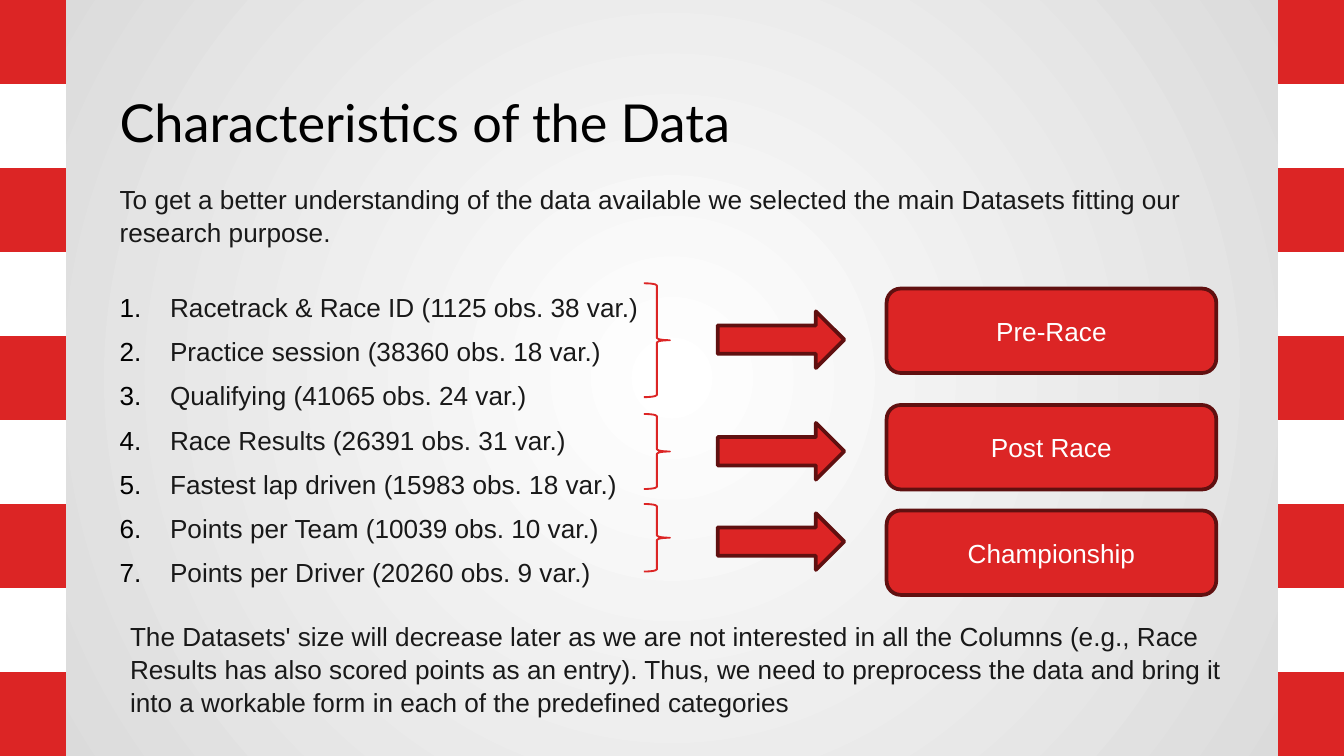
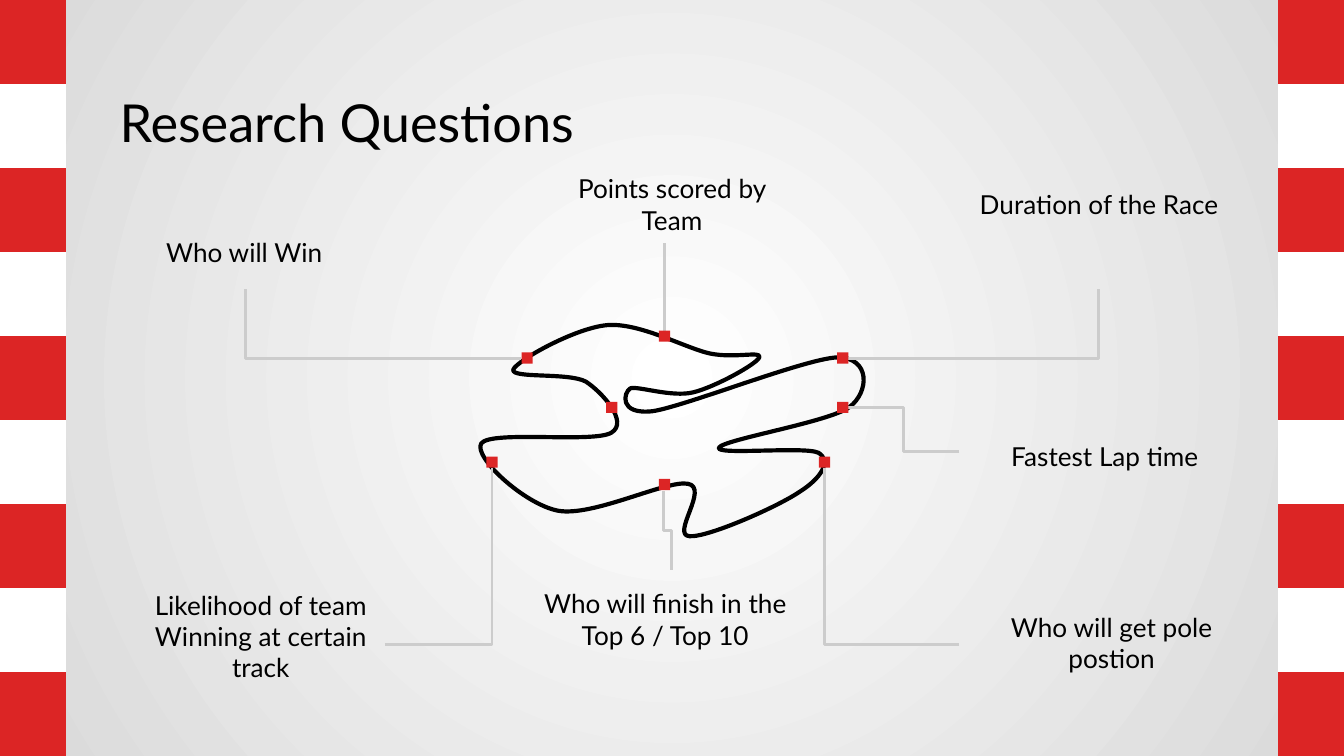
import lxml.etree
import pptx
import pptx.dml.color
import pptx.enum.shapes
import pptx.enum.text
import pptx.oxml.ns
import pptx.util

Pt = pptx.util.Pt
qn = pptx.oxml.ns.qn
SubElement = lxml.etree.SubElement
SHAPE = pptx.enum.shapes.MSO_SHAPE
CONNECTOR = pptx.enum.shapes.MSO_CONNECTOR
ALIGN = pptx.enum.text.PP_ALIGN
ANCHOR = pptx.enum.text.MSO_ANCHOR

COLORS = {
    "red": "DC2525",
    "dark red": "601010",
    "white": "FFFFFF",
    "black": "000000",
    "ink": "191919",
    "grey": "CCCCCC",
    "edge": "D9D9D9",
}
RGB = {name: pptx.dml.color.RGBColor.from_string(value) for name, value in COLORS.items()}


def write(box, text, font="Lato", size=14, color="black", align=ALIGN.LEFT,
          anchor=ANCHOR.MIDDLE, spacing=1.0):
    """Fill a shape with text, one paragraph per line, in a single format."""
    frame = box.text_frame
    frame.text = text
    frame.word_wrap = True
    frame.auto_size = pptx.enum.text.MSO_AUTO_SIZE.NONE
    frame.vertical_anchor = anchor
    frame.margin_left = frame.margin_right = Pt(7.2)
    frame.margin_top = frame.margin_bottom = Pt(7.2)
    for para in frame.paragraphs:
        para.alignment = align
        para.line_spacing = spacing
        para.space_before = Pt(0)
        for span in para.runs:
            span.font.name = font
            span.font.size = Pt(size)
            span.font.color.rgb = RGB[color]


def add_box(page, kind, left, top, width, height, fill=None, line=None, weight=1):
    box = page.shapes.add_shape(kind, Pt(left), Pt(top), Pt(width), Pt(height))
    box.shadow.inherit = False
    if fill:
        box.fill.solid()
        box.fill.fore_color.rgb = RGB[fill]
    else:
        box.fill.background()
    if line:
        box.line.color.rgb = RGB[line]
        box.line.width = Pt(weight)
    else:
        box.line.fill.background()
    return box


deck = pptx.Presentation()
deck.slide_width, deck.slide_height = Pt(720), Pt(405)
master = deck.slide_master

# Radial background on the master
background = master.background.fill
background.gradient()
for stop, color in zip(background.gradient_stops, ("white", "edge")):
    stop.color.rgb = RGB[color]
gradient = master.element.find(".//" + qn("a:gradFill"))
gradient.remove(gradient.find(qn("a:lin")))
circle = SubElement(gradient, qn("a:path"), {"path": "circle"})
SubElement(circle, qn("a:fillToRect"), {side: "50000" for side in "ltrb"})

# Pages and titles
data_page = deck.slides.add_slide(deck.slide_layouts[1])
questions_page = deck.slides.add_slide(deck.slide_layouts[5])
for page, heading in ((data_page, "Characteristics of the Data"),
                      (questions_page, "Research Questions")):
    title = page.shapes.title
    title.left, title.top, title.width, title.height = Pt(56.9), Pt(42.5), Pt(607), Pt(45.4)
    write(title, heading, size=28)

# Kerb stripes, drawn once and moved to the master
for left in (-1.4, 684.7):
    for row in range(9):
        stripe = add_box(data_page, SHAPE.RECTANGLE, left, 45 * row, 36.7, 45,
                         fill="white" if row % 2 else "red")
        master.shapes.element.insert(2, stripe.element)

# Page 1: datasets and their categories
intro = ("To get a better understanding of the data available we selected "
         "the main Datasets fitting our research purpose.")
datasets = [
    "Racetrack & Race ID (1125 obs. 38 var.)",
    "Practice session (38360 obs. 18 var.)",
    "Qualifying (41065 obs. 24 var.)",
    "Race Results (26391 obs. 31 var.)",
    "Fastest lap driven (15983 obs. 18 var.)",
    "Points per Team (10039 obs. 10 var.)",
    "Points per Driver (20260 obs. 9 var.)",
]
body = data_page.placeholders[1]
body.left, body.top, body.width, body.height = Pt(56.9), Pt(90), Pt(607), Pt(222.5)
write(body, "\n".join([intro] + datasets), font="Arial", color="ink",
      anchor=ANCHOR.TOP, spacing=1.05)
for index, para in enumerate(body.text_frame.paragraphs):
    properties = para._p.get_or_add_pPr()
    if index == 0:
        properties.set("marL", "0")
        properties.set("indent", "0")
        SubElement(properties, qn("a:buNone"))
        continue
    para.space_before = Pt(22.9 if index == 1 else 6)
    properties.set("marL", str(Pt(27)))
    properties.set("indent", str(-Pt(27)))
    bullet_color = SubElement(properties, qn("a:buClr"))
    SubElement(bullet_color, qn("a:srgbClr"), {"val": COLORS["black"]})
    SubElement(properties, qn("a:buAutoNum"), {"type": "arabicPeriod"})

categories = [  # name, box top, brace top, brace height, arrow top
    ("Pre-Race", 154.6, 151.8, 61, 166.8),
    ("Post Race", 217, 221.8, 40.2, 226.6),
    ("Championship", 273.5, 270, 36.2, 275),
]
for name, box_top, brace_top, brace_height, arrow_top in categories:
    box = add_box(data_page, SHAPE.ROUNDED_RECTANGLE, 475, box_top, 176.6, 45.2,
                  fill="red", line="dark red", weight=2)
    write(box, name, font="Arial", color="white", align=ALIGN.CENTER)
    add_box(data_page, SHAPE.RIGHT_BRACE, 345, brace_top, 13.9, brace_height, line="red")
    add_box(data_page, SHAPE.RIGHT_ARROW, 384.5, arrow_top, 67.8, 30.4,
            fill="red", line="dark red", weight=2)

note = data_page.shapes.add_textbox(Pt(62.6), Pt(326.9), Pt(600.5), Pt(62))
write(note, "The Datasets' size will decrease later as we are not interested in all the "
      "Columns (e.g., Race Results has also scored points as an entry). Thus, we need to "
      "preprocess the data and bring it into a workable form in each of the predefined "
      "categories", font="Arial", color="ink", spacing=1.05)

# Page 2: race track; each row is one curve: two control points, then its end
track_start = (325.4, 174.2)
track_curves = [
    ((308.2, 175.7), (277.2, 193), (275, 198)),
    ((273.6, 203), (304.6, 199.4), (313.9, 204.5)),
    ((322.6, 210.2), (337, 226.1), (327.6, 231.8)),
    ((318.2, 237.6), (262.8, 230.4), (257.8, 237.6)),
    ((253.4, 244.8), (280.8, 270), (298.8, 273.6)),
    ((317.5, 277.2), (357.1, 257), (368.6, 259.2)),
    ((380.2, 261.4), (359.3, 286.6), (369.4, 287.3)),
    ((379.4, 288), (416.9, 271.4), (428.4, 263.5)),
    ((439.9, 256.3), (445.7, 247), (438.5, 242.6)),
    ((431.3, 239), (382.3, 244.1), (385.2, 239.8)),
    ((388.1, 235.4), (444.2, 226.1), (455, 218.2)),
    ((465.8, 210.2), (466.6, 191.5), (448.6, 191.5)),
    ((431.3, 192.2), (367.9, 217.4), (349.9, 220.3)),
    ((331.2, 222.5), (334.1, 210.2), (337.7, 208.1)),
    ((341.3, 206.6), (360, 213.1), (371.5, 210.2)),
    ((383, 207.4), (405.4, 195.1), (406.8, 191.5)),
    ((408.2, 187.9), (393.8, 192.2), (380.2, 189.4)),
    ((367.2, 186.5), (342.7, 172.8), track_start),
]
builder = questions_page.shapes.build_freeform(Pt(track_start[0]), Pt(track_start[1]))
builder.add_line_segments([(Pt(x), Pt(y)) for curve in track_curves for x, y in curve])
track = builder.convert_to_shape()
track.shadow.inherit = False
track.fill.background()
track.line.color.rgb = RGB["black"]
track.line.width = Pt(2.25)

# Every three straight segments become one Bézier curve
segments = list(track.element.iter(qn("a:lnTo")))
for first, second, third in zip(segments[::3], segments[1::3], segments[2::3]):
    first.tag = qn("a:cubicBezTo")
    for segment in (second, third):
        first.append(segment[0])
        segment.getparent().remove(segment)

questions = [  # text, left, top, height
    ("Who will finish in the Top 6 / Top 10", 281.5, 319.7, 23.8),
    ("Likelihood of team Winning at certain track", 64.8, 325.8, 30),
    ("Who will Win", 55.9, 123.2, 23.8),
    ("Duration of the Race", 513.9, 97.4, 23.8),
    ("Points scored by Team", 285.1, 97.4, 23.8),
    ("Who will get pole postion", 520.6, 332.2, 23.8),
    ("Fastest Lap time", 517, 232.6, 23.8),
]
for text, left, top, height in questions:
    label = questions_page.shapes.add_textbox(Pt(left), Pt(top), Pt(149.8), Pt(height))
    write(label, text, align=ALIGN.CENTER)

leaders = [  # preset, begin, end, rotation in degrees
    ("bentConnector2", (279.4, 192), (131.6, 154.8), 0),
    ("bentConnector2", (454.3, 192), (588.4, 154.8), 0),
    ("bentConnector2", (206.2, 345.3), (263.6, 250.6), 0),
    ("bentConnector2", (513.9, 345.3), (441.9, 250.6), 0),
    ("bentConnector3", (513.9, 241.9), (454.3, 218.3), 0),
    ("bentConnector3", (379.1, 281.9), (336.6, 286.2), 90),
    ("line", (356, 130.3), (356, 177.1), 0),
]
for preset, begin, end, rotation in leaders:
    kind = CONNECTOR.STRAIGHT if preset == "line" else CONNECTOR.ELBOW
    leader = questions_page.shapes.add_connector(
        kind, Pt(begin[0]), Pt(begin[1]), Pt(end[0]), Pt(end[1]))
    leader.line.color.rgb = RGB["grey"]
    leader.line.width = Pt(1.5)
    properties = leader.element.spPr
    properties.find(qn("a:prstGeom")).set("prst", preset)
    if rotation:
        properties.find(qn("a:xfrm")).set("rot", str(rotation * 60000))
    SubElement(properties, qn("a:effectLst"))

markers = [(324.8, 215.3), (279.4, 188.8), (448.5, 188.8), (448.5, 215.3),
           (438.7, 244.6), (260.6, 244.6), (353, 256.6), (353, 177.1)]
for left, top in markers:
    add_box(questions_page, SHAPE.RECTANGLE, left, top, 6, 6, fill="red")

deck.save("out.pptx")
